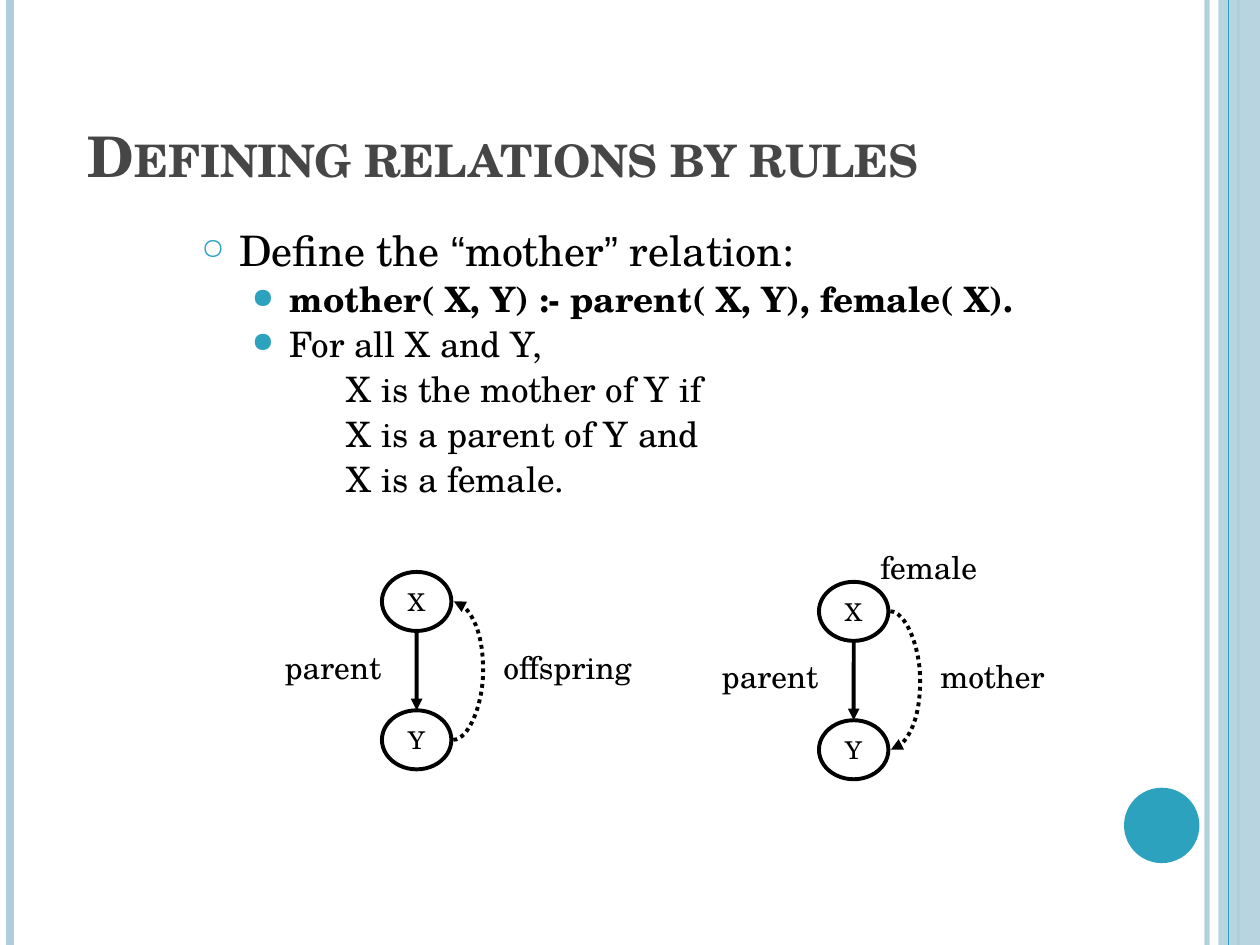
from dataclasses import dataclass

import pptx
import pptx.dml.color
import pptx.enum.dml
import pptx.enum.shapes
import pptx.enum.text
import pptx.oxml.ns
import pptx.util
from lxml import etree
from pptx.util import Cm, Pt


@dataclass(frozen=True)
class Theme:
    font: str = "TeX Gyre Schola"
    quote_font: str = "Arial"
    text: str = "000000"
    title: str = "464646"
    accent: str = "2DA2BF"
    pale: str = "ADCEDC"
    paper: str = "FFFFFF"
    title_size: int = 32
    lead_size: int = 24
    body_size: int = 20
    label_size: int = 18
    node_size: int = 14
    stroke: float = 2.25


THEME = Theme()
NODE_WIDTH, NODE_HEIGHT, NODE_STEP = 1.4, 1.19, 2.79
CURVE_WIDTH, CURVE_BULGE = 0.01, 0.6


def rgb(color):
    return pptx.dml.color.RGBColor.from_string(color)


def add_element(parent, tag, **attributes):
    return etree.SubElement(parent, pptx.oxml.ns.qn(tag), attributes)


def set_alpha(owner, percent):
    """Make the solid colour found inside an XML element partly transparent."""
    color = owner.find(".//" + pptx.oxml.ns.qn("a:srgbClr"))
    add_element(color, "a:alpha", val=str(percent * 1000))


def format_runs(paragraph, size, color=THEME.text, bold=False):
    for run in paragraph.runs:
        run.font.name = THEME.font
        run.font.size = Pt(size)
        run.font.bold = bold
        run.font.color.rgb = rgb(color)


def add_line(shapes, begin, end, color, width, curved=False):
    kinds = pptx.enum.shapes.MSO_CONNECTOR
    kind = kinds.CURVE if curved else kinds.STRAIGHT
    line = shapes.add_connector(kind, *map(Cm, begin), *map(Cm, end))
    line.line.color.rgb = rgb(color)
    line.line.width = Pt(width)
    add_element(line._element.spPr, "a:effectLst")
    return line


def add_arrow(shapes, begin, end, curved=False):
    arrow = add_line(shapes, begin, end, THEME.text, THEME.stroke, curved)
    if curved:
        arrow.line.dash_style = pptx.enum.dml.MSO_LINE.ROUND_DOT
        geometry = arrow._element.spPr.find(pptx.oxml.ns.qn("a:prstGeom"))
        adjustments = geometry.find(pptx.oxml.ns.qn("a:avLst"))
        if adjustments is None:
            adjustments = add_element(geometry, "a:avLst")
        bulge = round(CURVE_BULGE / CURVE_WIDTH * 100000)
        add_element(adjustments, "a:gd", name="adj1", fmla=f"val {bulge}")
    add_element(arrow.line._get_or_add_ln(), "a:tailEnd", type="triangle")
    return arrow


def add_filled(shapes, kind, left, top, width, height, color):
    shape = shapes.add_shape(kind, *map(Cm, (left, top, width, height)))
    shape.shadow.inherit = False
    shape.fill.solid()
    shape.fill.fore_color.rgb = rgb(color)
    shape.line.fill.background()
    return shape


def add_node(shapes, text, left, top):
    node = add_filled(shapes, pptx.enum.shapes.MSO_SHAPE.OVAL,
                      left, top, NODE_WIDTH, NODE_HEIGHT, THEME.paper)
    node.line.color.rgb = rgb(THEME.text)
    node.line.width = Pt(THEME.stroke)
    frame = node.text_frame
    frame.text = text
    frame.word_wrap = False
    frame.vertical_anchor = pptx.enum.text.MSO_ANCHOR.MIDDLE
    frame.paragraphs[0].alignment = pptx.enum.text.PP_ALIGN.CENTER
    format_runs(frame.paragraphs[0], THEME.node_size)
    return node


def add_label(shapes, text, left, top, width):
    label = shapes.add_textbox(*map(Cm, (left, top, width, 1.02)))
    frame = label.text_frame
    frame.text = text
    frame.word_wrap = False
    frame.auto_size = pptx.enum.text.MSO_AUTO_SIZE.SHAPE_TO_FIT_TEXT
    format_runs(frame.paragraphs[0], THEME.label_size)


def add_relation_graph(slide, left, top, relation, relation_width, upward):
    """Draw X above Y with a parent arrow and a dotted arrow for the relation."""
    shapes = slide.shapes.add_group_shape().shapes
    add_node(shapes, "X", left, top)
    child = add_node(shapes, "Y", left, top + NODE_STEP)
    center = left + NODE_WIDTH / 2
    arrow = add_arrow(shapes, (center, top + NODE_HEIGHT), (center, top + NODE_STEP))
    arrow.end_connect(child, 0)

    side = left + NODE_WIDTH + 0.04
    ends = [top + NODE_HEIGHT / 2, top + NODE_HEIGHT / 2 + NODE_STEP]
    begin_y, end_y = reversed(ends) if upward else ends
    add_arrow(shapes, (side, begin_y), (side + CURVE_WIDTH, end_y), curved=True)

    add_label(shapes, "parent", left - 2.21, top + 1.4, 2.59)
    add_label(shapes, relation, left + 2.2, top + 1.4, relation_width)
    return shapes


def add_decoration(shapes):
    kinds = pptx.enum.shapes.MSO_SHAPE
    band = add_filled(shapes, kinds.RECTANGLE, 24.56, 0, 0.84, 19.05, THEME.pale)
    set_alpha(band._element.spPr, 87)
    for x, color, width, alpha in (
        (24.33, THEME.pale, 3, 93),
        (0.2, THEME.pale, 4.5, 100),
        (24.97, THEME.pale, 1.5, 100),
        (24.76, THEME.accent, 0.75, 100),
    ):
        line = add_line(shapes, (x, 0), (x, 19.05), color, width)
        if alpha < 100:
            set_alpha(line._element.spPr, alpha)
    add_filled(shapes, kinds.OVAL, 22.66, 15.88, 1.52, 1.52, THEME.accent)


def format_title(title, text):
    title.left, title.top, title.width, title.height = map(Cm, (1.27, 0.76, 20.75, 3.18))
    frame = title.text_frame
    frame.text = text
    frame.margin_left = Cm(0.5)
    frame.vertical_anchor = pptx.enum.text.MSO_ANCHOR.BOTTOM
    paragraph = frame.paragraphs[0]
    paragraph.alignment = pptx.enum.text.PP_ALIGN.LEFT
    format_runs(paragraph, THEME.title_size, THEME.title, bold=True)
    paragraph.runs[0].font._element.set("cap", "small")


def format_body_paragraph(paragraph, level, margin, size, bullet=None, bullet_size=80, bold=False):
    paragraph.level = level
    paragraph.line_spacing = 0.9
    paragraph.space_before = Pt(4 if level else 0)
    properties = paragraph._element.get_or_add_pPr()
    properties.set("marL", str(Cm(margin)))
    properties.set("indent", str(Cm(-0.76 if bullet else 0)))
    if bullet:
        color = add_element(properties, "a:buClr")
        add_element(color, "a:srgbClr", val=THEME.accent)
        add_element(properties, "a:buSzPct", val=str(bullet_size * 1000))
        add_element(properties, "a:buChar", char=bullet)
    else:
        add_element(properties, "a:buNone")
    format_runs(paragraph, size, bold=bold)


def add_body(shapes):
    frame = shapes.add_textbox(*map(Cm, (3.81, 4.52, 20.32, 14))).text_frame
    frame.word_wrap = True
    lead = frame.paragraphs[0]
    for text in ("Define the ", "“", "mother", "”", " relation:"):
        lead.add_run().text = text
    format_body_paragraph(lead, 0, 0.76, THEME.lead_size, "○", 70)
    for run in lead.runs:
        if run.text in "“”":
            run.font.name = THEME.quote_font

    for text, margin, bullet, bold in (
        ("mother( X, Y) :- parent( X, Y), female( X).", 1.78, "●", True),
        ("For all X and Y,", 1.78, "●", False),
        ("X is the mother of Y if", 2.93, None, False),
        ("X is a parent of Y and", 2.93, None, False),
        ("X is a female.", 2.93, None, False),
    ):
        paragraph = frame.add_paragraph()
        paragraph.text = text
        format_body_paragraph(paragraph, 1, margin, THEME.body_size, bullet, bold=bold)


def main():
    presentation = pptx.Presentation()
    presentation.slide_width, presentation.slide_height = Cm(25.4), Cm(19.05)
    slide = presentation.slides.add_slide(presentation.slide_layouts[5])
    add_decoration(slide.shapes)
    format_title(slide.shapes.title, "Defining relations by rules")
    add_body(slide.shapes)
    add_relation_graph(slide, 7.7, 11.53, "offspring", 3.33, upward=True)
    mother_graph = add_relation_graph(slide, 16.51, 11.73, "mother", 2.82, upward=False)
    add_label(mother_graph, "female", 17.5, 10.92, 2.67)
    presentation.save("out.pptx")


if __name__ == "__main__":
    main()
